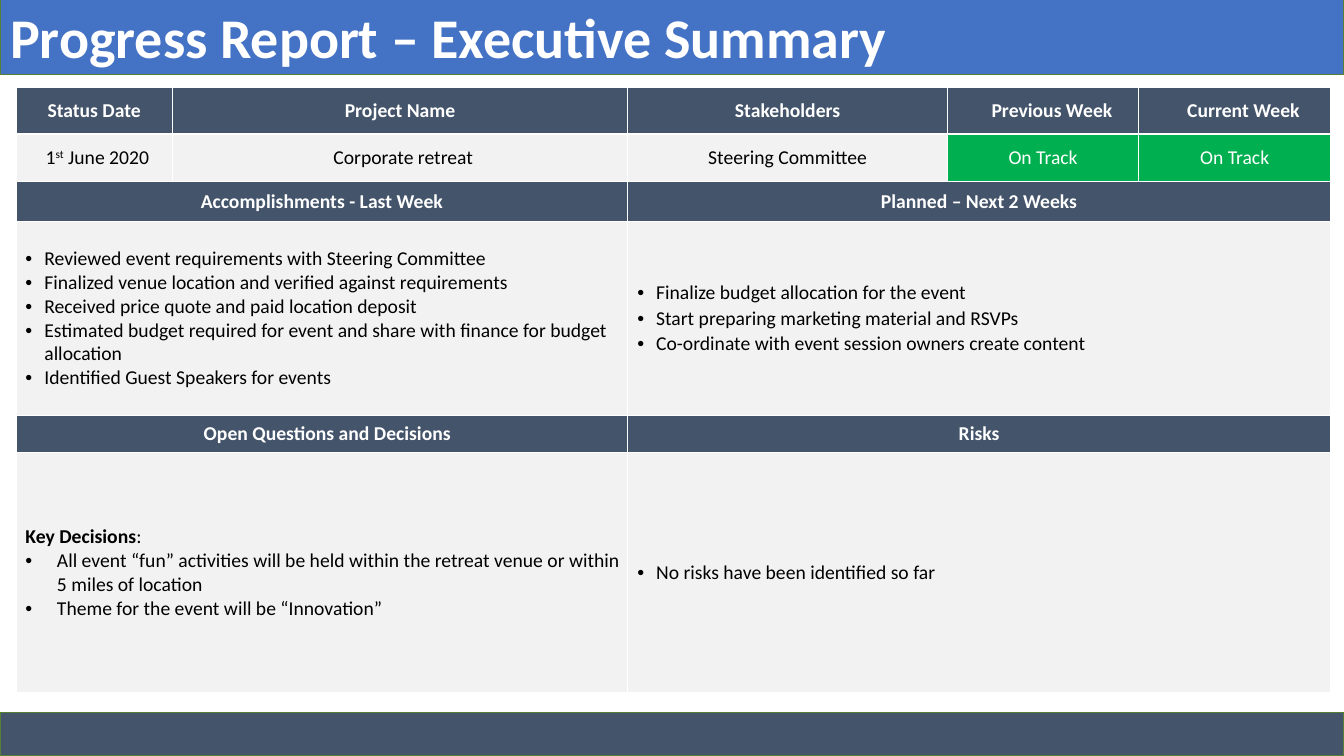
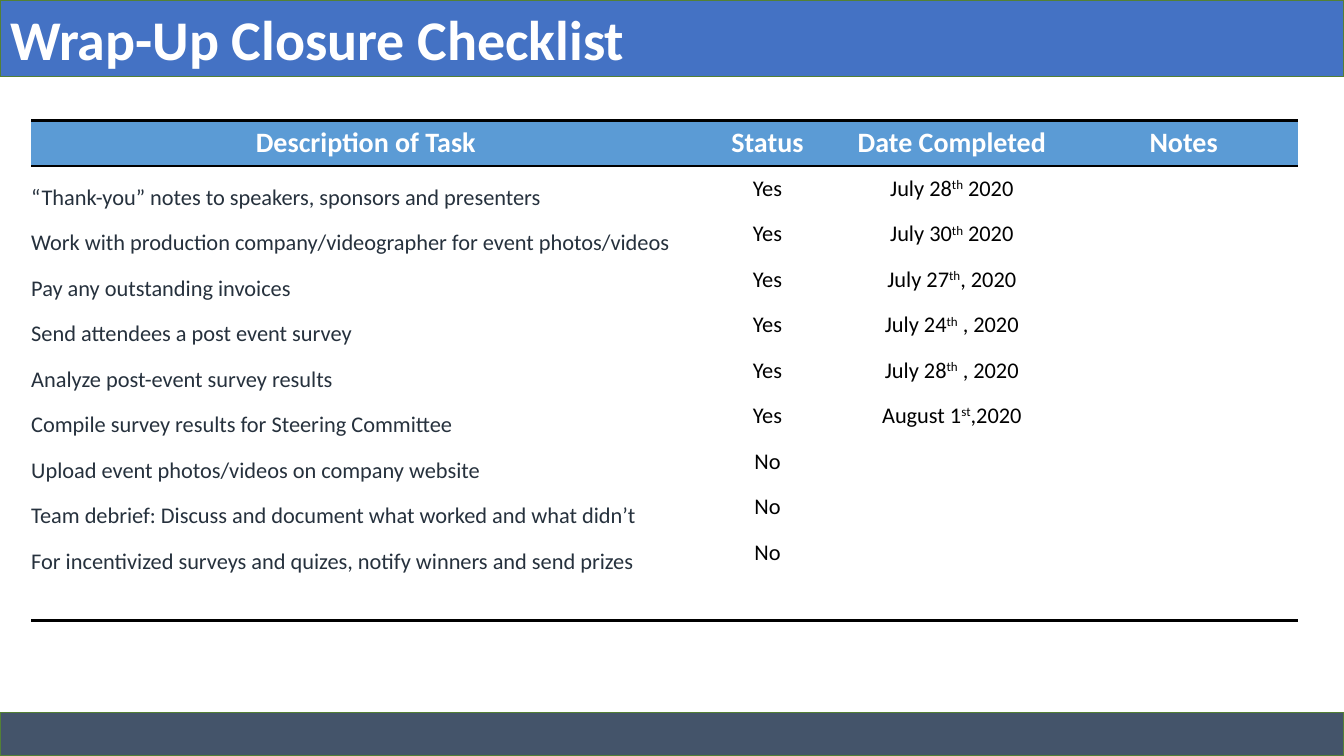
from lxml import etree
from pptx import Presentation
from pptx.dml.color import RGBColor
from pptx.enum.shapes import MSO_SHAPE
from pptx.enum.text import MSO_ANCHOR, MSO_AUTO_SIZE, PP_ALIGN
from pptx.oxml.ns import qn
from pptx.util import Pt

RECT = MSO_SHAPE.RECTANGLE
MIDDLE, BOTTOM = MSO_ANCHOR.MIDDLE, MSO_ANCHOR.BOTTOM
LEFT, CENTER = PP_ALIGN.LEFT, PP_ALIGN.CENTER
NO_FIT = MSO_AUTO_SIZE.NONE
TITLE_ONLY = 5
PLAIN_TABLE = "{2D5ABB26-0587-4C30-8999-92F81FD0307C}"

WHITE, BLACK, INK = "FFFFFF", "000000", "26313D"
BLUE, SKY, SLATE = "4472C4", "5B9BD5", "44546A"
GREEN, EDGE, PALE = "00B050", "538035", "F2F2F2"
WIDTH, HEIGHT = 960, 540
FONT = "Calibri"


def paint(fill, color):
    """Make a fill solid in a hex colour."""
    fill.solid()
    fill.fore_color.rgb = RGBColor.from_string(color)


def dated(day, suffix, rest):
    """Return runs for a date with a raised ordinal suffix."""
    return [(day, {}), (suffix, {"baseline": 30000}), (rest, {})]


class Deck:
    """Hold the style, the presentation and the current slide."""

    def __init__(self):
        """Start an empty widescreen presentation."""
        self.prs = Presentation()
        self.prs.slide_width, self.prs.slide_height = Pt(WIDTH), Pt(HEIGHT)
        self.s = None

    def add_slide(self, title, top=0):
        """Add a slide with its title band and footer band."""
        self.s = self.prs.slides.add_slide(self.prs.slide_layouts[TITLE_ONLY])
        sp = self.s.shapes.title
        self.band(sp, top, 54.7, BLUE)
        tf = sp.text_frame
        format_values = {"vertical_anchor": MIDDLE, "word_wrap": True, "auto_size": NO_FIT}
        for name, value in format_values.items():
            setattr(tf, name, value)
        self.paragraph(tf.paragraphs[0], title, size=40, color=WHITE, bold=True)
        footer = self.s.shapes.add_shape(RECT, 0, 0, 0, 0)
        footer.shadow.inherit = False
        self.band(footer, 509, 31, SLATE)

    def band(self, sp, top, height, color):
        """Stretch a shape over the slide width as an edged band."""
        box = {"left": 0, "top": top, "width": WIDTH, "height": height}
        for name, value in box.items():
            setattr(sp, name, Pt(value))
        paint(sp.fill, color)
        paint(sp.line.fill, EDGE)
        sp.line.width = Pt(1)

    def paragraph(self, p, text, size=14, color=BLACK, bold=False, align=LEFT,
                  indent=0, hang=0, before=0):
        """Fill a paragraph with runs, bulleted when it has a hanging indent."""
        p.alignment = align
        p.space_before = Pt(before)
        pPr = p._p.get_or_add_pPr()
        pPr.set("marL", str(Pt(indent)))
        pPr.set("indent", str(Pt(-hang)))
        if hang:
            etree.SubElement(pPr, qn("a:buFont")).set("typeface", "Arial")
            etree.SubElement(pPr, qn("a:buChar")).set("char", "•")
        for part, extra in [(text, {})] if isinstance(text, str) else text:
            r = p.add_run()
            r.text = part
            values = {"name": FONT, "size": Pt(size), "bold": extra.get("bold", bold)}
            for name, value in values.items():
                setattr(r.font, name, value)
            paint(r.font.fill, color)
            if "baseline" in extra:
                r.font._element.set("baseline", str(extra["baseline"]))

    def table(self, left, top, widths, heights):
        """Add an unstyled table with the given column widths and row heights."""
        gf = self.s.shapes.add_table(len(heights), len(widths), Pt(left), Pt(top),
                                     Pt(sum(widths)), Pt(sum(heights)))
        table = gf.table
        table.first_row = table.horz_banding = False
        table._tbl.tblPr.find(qn("a:tableStyleId")).text = PLAIN_TABLE
        for column, width in zip(table.columns, widths):
            column.width = Pt(width)
        for row, height in zip(table.rows, heights):
            row.height = Pt(height)
        return table

    def cell(self, cell, fill, paragraphs=(), anchor=MIDDLE, inset=(0, 0), **style):
        """Fill a cell with paragraphs, each a text and its own style."""
        paint(cell.fill, fill)
        side, edge = inset
        values = {"vertical_anchor": anchor,
                  "margin_left": Pt(side), "margin_right": Pt(side),
                  "margin_top": Pt(edge), "margin_bottom": Pt(edge)}
        for name, value in values.items():
            setattr(cell, name, value)
        tf = cell.text_frame
        for i, (text, own) in enumerate(paragraphs):
            p = tf.add_paragraph() if i else tf.paragraphs[0]
            self.paragraph(p, text, **{**style, **own})

    def borders(self, cell, sides, color, width):
        """Draw cell borders on the sides named, in the order L, R, T, B."""
        tcPr = cell._tc.get_or_add_tcPr()
        for i, side in enumerate(sides):
            ln = etree.Element(qn("a:ln" + side), w=str(Pt(width)))
            fill = etree.SubElement(ln, qn("a:solidFill"))
            etree.SubElement(fill, qn("a:srgbClr")).set("val", color)
            tcPr.insert(i, ln)


def build_summary(deck):
    """Build the executive summary slide."""
    deck.add_slide("Progress Report – Executive Summary", top=-1.4)
    table = deck.table(11.5, 62.7, [111.6, 325.4, 228.2, 136.8, 136.8],
                       [33, 33.8, 28.8, 138.4, 26.6, 171.4])
    head = {"color": WHITE, "bold": True, "align": CENTER}
    value = {"align": CENTER}
    status = {"color": WHITE, "align": CENTER}
    shifted = {"indent": 12.7}
    bullet = {"indent": 18, "hang": 13.5}
    spaced = {**bullet, "before": 1.3}
    decision = {"indent": 27, "hang": 22.5}

    rows = [
        [(1, SLATE, head, [("Status Date", {})]),
         (1, SLATE, head, [("Project Name", {})]),
         (1, SLATE, head, [("Stakeholders", {})]),
         (1, SLATE, head, [("Previous Week", shifted)]),
         (1, SLATE, head, [("Current Week", shifted)])],
        [(1, PALE, value, [(dated("1", "st", " June 2020"), {"indent": 4.5})]),
         (1, PALE, value, [("Corporate retreat", {"indent": 4.5})]),
         (1, PALE, value, [("Steering Committee", {})]),
         (1, GREEN, status, [("On Track", {})]),
         (1, GREEN, status, [("On Track", {})])],
        [(2, SLATE, head, [("Accomplishments - Last Week", {})]),
         (3, SLATE, head, [("Planned – Next 2 Weeks", {})])],
        [(2, PALE, bullet, [
            ("Reviewed event requirements with Steering Committee", {}),
            ("Finalized venue location and verified against requirements", {}),
            ("Received price quote and paid location deposit", {}),
            ("Estimated budget required for event and share with finance "
             "for budget allocation", {}),
            ("Identified Guest Speakers for events", {})]),
         (3, PALE, spaced, [
             ("Finalize budget allocation for the event", {}),
             ("Start preparing marketing material and RSVPs", {}),
             ("Co-ordinate with event session owners create content", {})])],
        [(2, SLATE, head, [("Open Questions and Decisions", {"indent": 7.7})]),
         (3, SLATE, head, [("Risks", {})])],
        [(2, PALE, decision, [
            ([("Key Decisions", {"bold": True}), (":", {})], {"indent": 4.5, "hang": 0}),
            ("All event “fun” activities will be held within the retreat venue "
             "or within 5 miles of location", {}),
            ("Theme for the event will be “Innovation”", {})]),
         (3, PALE, spaced, [("No risks have been identified so far", {})])],
    ]
    for i, row in enumerate(rows):
        j = 0
        for span, fill, style, paragraphs in row:
            cell = table.cell(i, j)
            if span > 1:
                cell.merge(table.cell(i, j + span - 1))
            deck.cell(cell, fill, paragraphs, inset=(2.2, 1.4), **style)
            for k in range(j, j + span):
                deck.borders(table.cell(i, k), "LRTB", WHITE, 1)
            j += span


def build_checklist(deck):
    """Build the closure checklist slide."""
    deck.add_slide("Wrap-Up Closure Checklist")
    tasks = [
        ("“Thank-you” notes to speakers, sponsors and presenters", "Yes",
         dated("July 28", "th", " 2020")),
        ("Work with production company/videographer for event photos/videos", "Yes",
         dated("July 30", "th", " 2020")),
        ("Pay any outstanding invoices", "Yes", dated("July 27", "th", ", 2020")),
        ("Send attendees a post event survey", "Yes", dated("July 24", "th", " , 2020")),
        ("Analyze post-event survey results", "Yes", dated("July 28", "th", " , 2020")),
        ("Compile survey results for Steering Committee", "Yes",
         dated("August 1", "st", ",2020")),
        ("Upload event photos/videos on company website", "No", ""),
        ("Team debrief: Discuss and document what worked and what didn’t", "No", ""),
        ("For incentivized surveys and quizes, notify winners and send prizes", "No", ""),
    ]
    heads = ["Description of Task", "Status", "Date Completed", "Notes"]
    table = deck.table(22.3, 86, [478, 95.8, 167.6, 163.6], [32.5] * (len(tasks) + 2))
    last = len(tasks) + 1
    for j, text in enumerate(heads):
        deck.cell(table.cell(0, j), SKY, [(text, {})],
                  size=20, color=WHITE, bold=True, align=CENTER)
        deck.borders(table.cell(0, j), "TB", BLACK, 2)
        deck.cell(table.cell(last, j), WHITE)
        deck.borders(table.cell(last, j), "B", BLACK, 2)
    for i, (task, *details) in enumerate(tasks, 1):
        deck.cell(table.cell(i, 0), WHITE, [(task, {})], BOTTOM, size=16, color=INK)
        for j, text in enumerate(details + [""], 1):
            paragraphs = [(text, {})] if text else []
            deck.cell(table.cell(i, j), WHITE, paragraphs, size=16, align=CENTER)


def main():
    """Build and save the presentation."""
    deck = Deck()
    build_summary(deck)
    build_checklist(deck)
    deck.prs.save("out.pptx")


if __name__ == "__main__":
    main()
